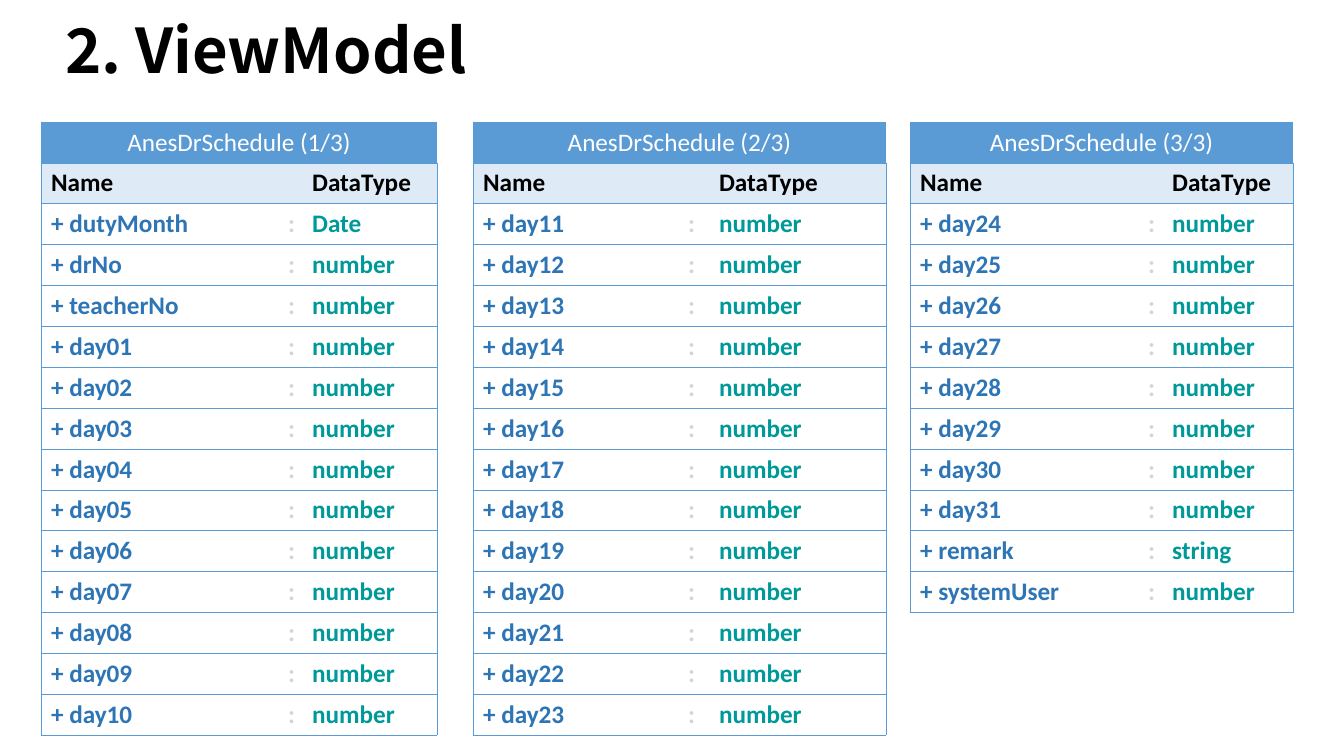
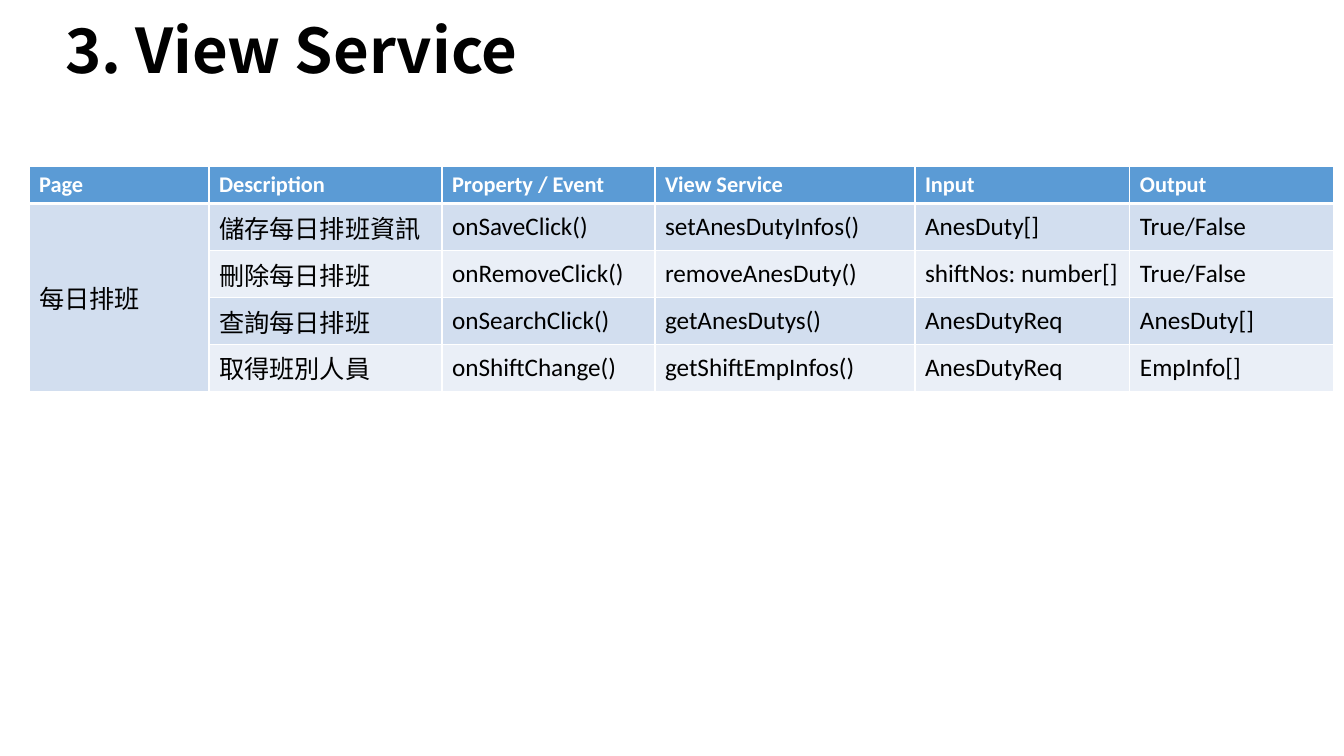
"""Build the view model and view service slides."""
import dataclasses

import lxml.etree
import pptx
import pptx.dml.color
import pptx.enum.text
import pptx.oxml.ns
import pptx.presentation
import pptx.slide
import pptx.table
import pptx.text.text
import pptx.util

SCALE = 914400 / 100.8
HUES = {
    "blue": "5B9BD5", "pale": "DEEBF7", "odd": "D2DEEF", "even": "EAEFF7",
    "name": "2E75B6", "colon": "D4D4D4", "type": "009999",
    "black": "000000", "white": "FFFFFF",
}
LATIN = "Calibri"
ASIAN = "Noto Sans CJK SC"
PLAIN = "{2D5ABB26-0587-4C30-8999-92F81FD0307C}"
LEFT = pptx.enum.text.PP_ALIGN.LEFT
CENTER = pptx.enum.text.PP_ALIGN.CENTER
TOP = pptx.enum.text.MSO_ANCHOR.TOP
MIDDLE = pptx.enum.text.MSO_ANCHOR.MIDDLE


@dataclasses.dataclass(frozen=True)
class Grid:
    left: int
    top: int
    cols: list[int]
    rows: list[int]


@dataclasses.dataclass(frozen=True)
class Model:
    number: int
    left: int
    cols: list[int]
    fields: list[tuple[str, str]]


def px(count: int) -> pptx.util.Emu:
    """Turn pixels into EMU."""
    return pptx.util.Emu(round(count * SCALE))


def tint(hue: str) -> pptx.dml.color.RGBColor:
    """Look up a named colour."""
    return pptx.dml.color.RGBColor.from_string(HUES[hue])


def put(frame: pptx.text.text.TextFrame, text: str, *, size: int = 18, hue: str = "black",
        bold: bool = False, font: str = LATIN, align: pptx.enum.text.PP_ALIGN = LEFT,
        space: float | None = None) -> None:
    """Write one formatted paragraph."""
    para = frame.paragraphs[0]
    para.alignment = align
    para.line_spacing = space
    run = para.add_run()
    run.text = text
    run.font.size = pptx.util.Pt(size)
    run.font.bold = bold
    run.font.name = font
    run.font.color.rgb = tint(hue)
    asian = lxml.etree.SubElement(run.font._element, pptx.oxml.ns.qn("a:ea"))
    asian.set("typeface", ASIAN)


def edge(cell: pptx.table._Cell, sides: dict[str, float], hue: str) -> None:
    """Draw cell borders, given a width in points for each side."""
    props = cell._tc.get_or_add_tcPr()
    for side in "LRTB":
        if side in sides:
            line = lxml.etree.SubElement(props, pptx.oxml.ns.qn(f"a:ln{side}"))
            line.set("w", str(int(pptx.util.Pt(sides[side]))))
            fill = lxml.etree.SubElement(line, pptx.oxml.ns.qn("a:solidFill"))
            lxml.etree.SubElement(fill, pptx.oxml.ns.qn("a:srgbClr")).set("val", HUES[hue])


def paint(cell: pptx.table._Cell, hue: str | None) -> None:
    """Fill a cell, or leave it clear."""
    if hue is None:
        cell.fill.background()
    else:
        cell.fill.solid()
        cell.fill.fore_color.rgb = tint(hue)


def start(deck: pptx.presentation.Presentation, title: str) -> pptx.slide.Slide:
    """Add a slide with the shared title style."""
    slide = deck.slides.add_slide(deck.slide_layouts[5])
    head = slide.shapes.title
    head.left, head.top, head.width, head.height = map(px, (55, 14, 1227, 79))
    frame = head.text_frame
    frame.auto_size = pptx.enum.text.MSO_AUTO_SIZE.NONE
    frame.vertical_anchor = MIDDLE
    put(frame, title, size=44, bold=True, font=ASIAN, space=0.9)
    return slide


def lay(slide: pptx.slide.Slide, grid: Grid) -> pptx.table.Table:
    """Add an unstyled table."""
    table = slide.shapes.add_table(
        len(grid.rows), len(grid.cols), px(grid.left), px(grid.top),
        px(sum(grid.cols)), px(sum(grid.rows))).table
    table.first_row = table.horz_banding = False
    table._tbl.tblPr.find(pptx.oxml.ns.qn("a:tableStyleId")).text = PLAIN
    for col, width in zip(table.columns, grid.cols):
        col.width = px(width)
    for row, height in zip(table.rows, grid.rows):
        row.height = px(height)
    return table


def draw_model(slide: pptx.slide.Slide, model: Model) -> None:
    """Draw one table of the schedule model."""
    count = len(model.fields) + 2
    table = lay(slide, Grid(model.left, 122, model.cols, [40] * count))
    table.cell(0, 0).merge(table.cell(0, 2))
    put(table.cell(0, 0).text_frame, f"AnesDrSchedule ({model.number}/3)",
        hue="white", align=CENTER)
    for col, text in ((0, "Name"), (2, "DataType")):
        put(table.cell(1, col).text_frame, text, bold=True)
    for row, (name, kind) in enumerate(model.fields, 2):
        for col, (text, hue) in enumerate(
                ((f"+ {name}", "name"), (":", "colon"), (kind, "type"))):
            put(table.cell(row, col).text_frame, text, hue=hue, bold=True)
    ends = ({"L": 0.5}, {}, {"R": 0.5})
    for row in range(count):
        for col, outer in enumerate(ends):
            cell = table.cell(row, col)
            cell.vertical_anchor = TOP
            edge(cell, {"T": 0.5, "B": 0.5, **outer}, "blue")
            paint(cell, {0: "blue", 1: "pale"}.get(row))


def draw_service(slide: pptx.slide.Slide, heads: list[str], page: str,
                 calls: list[list[str]]) -> None:
    """Draw the table of service calls for one page."""
    table = lay(slide, Grid(29, 166, [180, 233, 213, 260, 215, 204],
                            [37] + [47] * len(calls)))
    table.cell(1, 0).merge(table.cell(len(calls), 0))
    for col, text in enumerate(heads):
        put(table.cell(0, col).text_frame, text, size=16, hue="white", bold=True)
    put(table.cell(1, 0).text_frame, page, font=ASIAN)
    for row, texts in enumerate(calls, 1):
        for col, text in enumerate(texts, 1):
            put(table.cell(row, col).text_frame, text)
    for row in range(len(calls) + 1):
        for col in range(len(heads)):
            cell = table.cell(row, col)
            cell.vertical_anchor = MIDDLE
            edge(cell, {"L": 1, "R": 1, "T": 3 if row == 1 else 1,
                        "B": 3 if row == 0 else 1}, "white")
            band = "odd" if row % 2 or col == 0 else "even"
            paint(cell, band if row else "blue")


def days(first: int, last: int) -> list[tuple[str, str]]:
    """List the numbered day fields."""
    return [(f"day{day:02}", "number") for day in range(first, last + 1)]


MODELS = [
    Model(1, 41, [237, 24, 135],
          [("dutyMonth", "Date"), ("drNo", "number"), ("teacherNo", "number"), *days(1, 10)]),
    Model(2, 473, [205, 31, 177], days(11, 23)),
    Model(3, 910, [228, 23, 131],
          [*days(24, 31), ("remark", "string"), ("systemUser", "number")]),
]
HEADS = ["Page", "Description", "Property\u00a0/ Event", "View Service", "Input", "Output"]
CALLS = [
    ["儲存每日排班資訊", "onSaveClick()", "setAnesDutyInfos()", "AnesDuty[]", "True/False"],
    ["刪除每日排班", "onRemoveClick()", "removeAnesDuty()", "shiftNos: number[]", "True/False"],
    ["查詢每日排班", "onSearchClick()", "getAnesDutys()", "AnesDutyReq", "AnesDuty[]"],
    ["取得班別人員", "onShiftChange()", "getShiftEmpInfos()", "AnesDutyReq", "EmpInfo[]"],
]


def main() -> None:
    """Build and save the deck."""
    deck = pptx.Presentation()
    deck.slide_width, deck.slide_height = px(1344), px(756)
    slide = start(deck, "2. ViewModel")
    for model in MODELS:
        draw_model(slide, model)
    draw_service(start(deck, "3. View Service"), HEADS, "每日排班", CALLS)
    deck.save("out.pptx")


main()
